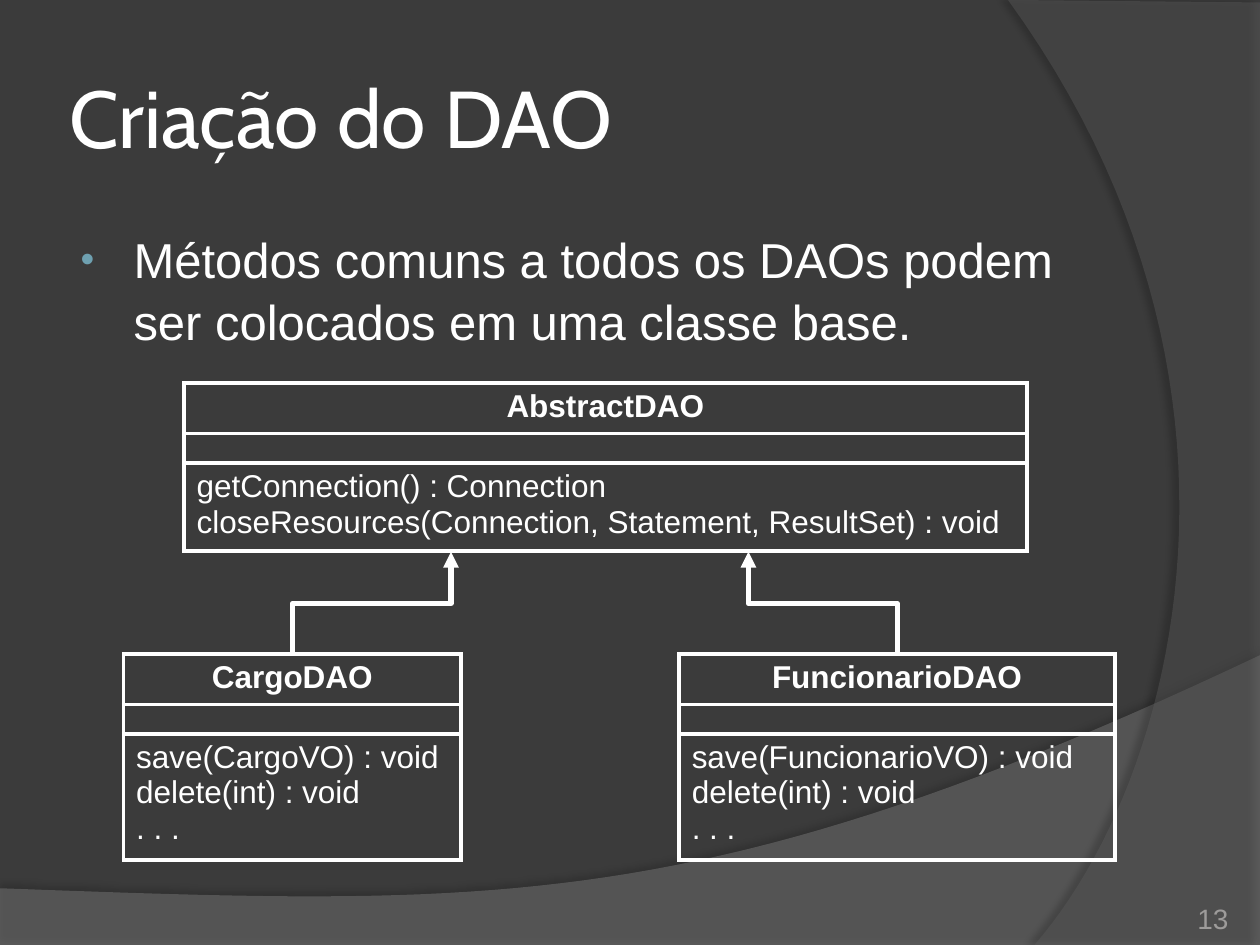
from lxml import etree
from pptx import Presentation
from pptx.dml.color import RGBColor
from pptx.enum.shapes import MSO_CONNECTOR
from pptx.enum.text import MSO_ANCHOR, PP_ALIGN
from pptx.oxml.ns import qn
from pptx.util import Inches, Pt

LEFT, CENTER, RIGHT = PP_ALIGN.LEFT, PP_ALIGN.CENTER, PP_ALIGN.RIGHT
TOP, MIDDLE, BOTTOM = MSO_ANCHOR.TOP, MSO_ANCHOR.MIDDLE, MSO_ANCHOR.BOTTOM
ELBOW = MSO_CONNECTOR.ELBOW

COLORS = {
    "background": "3B3B3B",
    "text": "FFFFFF",
    "bullet": "6EA0B0",
    "number": "9D9B9A",
    "wave": "7F7F7F",
    "arc": "5E5E5E",
    "shadow": "000000",
}
LINE_HEIGHT = 0.28
CELL_PADDING = 0.1
EMPTY_ROW = 0.23
CURVE_STEPS = 48


def rgb(name):
    return RGBColor.from_string(COLORS[name])


def add_xml(parent, tag, **attributes):
    return etree.SubElement(parent, qn(tag), **attributes)


def add_color(parent, name, alpha=None):
    color = add_xml(parent, "a:srgbClr", val=COLORS[name])
    if alpha is not None:
        add_xml(color, "a:alpha", val=str(alpha * 1000))


def write(para, text, size=18, font="Arial", color="text", bold=False, align=LEFT):
    para.alignment = align
    span = para.add_run()
    span.text = text
    span.font.size = Pt(size)
    span.font.name = font
    span.font.bold = bold
    span.font.color.rgb = rgb(color)


def place(shape, box, anchor=TOP, inset=None):
    shape.left, shape.top, shape.width, shape.height = map(Inches, box)
    frame = shape.text_frame
    frame.word_wrap = True
    frame.vertical_anchor = anchor
    if inset is not None:
        frame.margin_left = frame.margin_right = Inches(inset)
        frame.margin_top = frame.margin_bottom = Inches(inset)
    return frame.paragraphs[0]


def curve(start, first, second, end):
    points = []
    for step in range(1, CURVE_STEPS + 1):
        t = step / CURVE_STEPS
        u = 1 - t
        weights = (u**3, 3 * u * u * t, 3 * u * t * t, t**3)
        points.append(tuple(
            sum(weight * value for weight, value in zip(weights, axis))
            for axis in zip(start, first, second, end)
        ))
    return points


def add_backdrop(page, points, color, alpha, shadow_alpha, distance, direction):
    corners = [(Inches(x), Inches(y)) for x, y in points]
    builder = page.shapes.build_freeform(*corners[0], scale=1.0)
    builder.add_line_segments(corners[1:], close=True)
    shape = builder.convert_to_shape()
    shape.line.fill.background()
    shape.fill.solid()
    shape.fill.fore_color.rgb = rgb(color)
    properties = shape.element.spPr
    fill = properties.find(qn("a:solidFill"))
    add_xml(fill[0], "a:alpha", val=str(alpha * 1000))
    effects = add_xml(properties, "a:effectLst")
    shadow = add_xml(effects, "a:outerShdw", blurRad=str(Pt(4)), dist=str(Pt(distance)),
                     dir=str(direction * 60000), algn="ctr", rotWithShape="0")
    add_color(shadow, "shadow", shadow_alpha)
    return shape


def add_background(page):
    page.background.fill.solid()
    page.background.fill.fore_color.rgb = rgb("background")
    wave = [(0, 7.05), (0, 7.51), (10, 7.51), (10, 5.2)]
    wave += curve((10, 5.2), (5.59, 7.29), (3.91, 7.19), (0, 7.05))
    arc = [(10, 0.02), (10, 7.5), (8.21, 7.5)]
    arc += curve((8.21, 7.5), (9.35, 6.19), (10.18, 3), (8, 0))
    shapes = [
        add_backdrop(page, wave, "wave", 45, 35, 3.5, 270),
        add_backdrop(page, arc, "arc", 40, 45, 4, 180),
    ]
    tree = page.shapes.element
    for position, shape in enumerate(shapes, start=2):
        tree.insert(position, shape.element)


def add_title(page, box, text):
    para = place(page.shapes.title, box, anchor=MIDDLE, inset=0.05)
    write(para, text, size=46, font="Cabin")


def add_body(page, box, text):
    para = place(page.placeholders[1], box)
    para.space_before = Pt(0)
    para.line_spacing = 1.05
    write(para, text, size=28)
    properties = para._p.get_or_add_pPr()
    properties.set("marL", str(Inches(0.46)))
    properties.set("indent", str(Inches(-0.42)))
    add_color(add_xml(properties, "a:buClr"), "bullet")
    add_xml(properties, "a:buSzPct", val="80000")
    add_xml(properties, "a:buFont", typeface="Arial")
    add_xml(properties, "a:buChar", char="•")


def add_page_number(page, box, text):
    para = place(page.shapes.add_textbox(*map(Inches, box)), box, anchor=BOTTOM, inset=0)
    write(para, text, size=16, color="number", align=RIGHT)


def format_cell(cell):
    properties = cell._tc.get_or_add_tcPr()
    for side in ("a:lnL", "a:lnR", "a:lnT", "a:lnB"):
        border = add_xml(properties, side, w=str(Pt(2.25)))
        add_color(add_xml(border, "a:solidFill"), "text")
    cell.fill.background()


def add_class(page, left, top, width, name, methods):
    heights = [
        LINE_HEIGHT + CELL_PADDING,
        EMPTY_ROW,
        len(methods) * LINE_HEIGHT + CELL_PADDING,
    ]
    frame = page.shapes.add_table(3, 1, *map(Inches, (left, top, width, sum(heights))))
    table = frame.table
    table.first_row = table.horz_banding = False
    for row, height in zip(table.rows, heights):
        row.height = Inches(height)
        format_cell(row.cells[0])
    heading, attributes, operations = (row.cells[0].text_frame for row in table.rows)
    write(heading.paragraphs[0], name, bold=True, align=CENTER)
    add_xml(attributes.paragraphs[0]._p, "a:endParaRPr", sz="800")
    for index, method in enumerate(methods):
        para = operations.add_paragraph() if index else operations.paragraphs[0]
        write(para, method)


def add_inheritance(page, start, end):
    center_x, center_y = (start[0] + end[0]) / 2, (start[1] + end[1]) / 2
    half_rise, half_run = (start[1] - end[1]) / 2, (end[0] - start[0]) / 2
    arrow = page.shapes.add_connector(
        ELBOW,
        Inches(center_x - half_rise), Inches(center_y - half_run),
        Inches(center_x + half_rise), Inches(center_y + half_run),
    )
    arrow.line.color.rgb = rgb("text")
    arrow.line.width = Pt(3)
    properties = arrow.element.spPr
    properties.find(qn("a:xfrm")).set("rot", str(270 * 60000))
    add_xml(properties.find(qn("a:ln")), "a:tailEnd", type="triangle")
    add_xml(properties, "a:effectLst")


def add_diagram(page):
    add_class(page, 1.46, 3.04, 6.69, "AbstractDAO", [
        "getConnection() : Connection",
        "closeResources(Connection, Statement, ResultSet) : void",
    ])
    for left, width, entity, arrow_end in (
        (0.98, 2.68, "Cargo", 3.58),
        (5.39, 3.46, "Funcionario", 5.94),
    ):
        methods = [f"save({entity}VO) : void", "delete(int) : void", ". . ."]
        add_class(page, left, 5.19, width, f"{entity}DAO", methods)
        add_inheritance(page, (left + width / 2, 5.2), (arrow_end, 4.38))


def main():
    deck = Presentation()
    deck.slide_width, deck.slide_height = Inches(10), Inches(7.5)
    page = deck.slides.add_slide(deck.slide_layouts[1])
    add_background(page)
    add_title(page, (0.5, 0.3, 8.17, 1.25), "Criação do DAO")
    add_body(page, (0.5, 1.75, 8.17, 4.95),
             "Métodos comuns a todos os DAOs podem ser colocados em uma classe base.")
    add_page_number(page, (8.92, 7.02, 0.83, 0.4), "13")
    add_diagram(page)
    deck.save("out.pptx")


if __name__ == "__main__":
    main()
